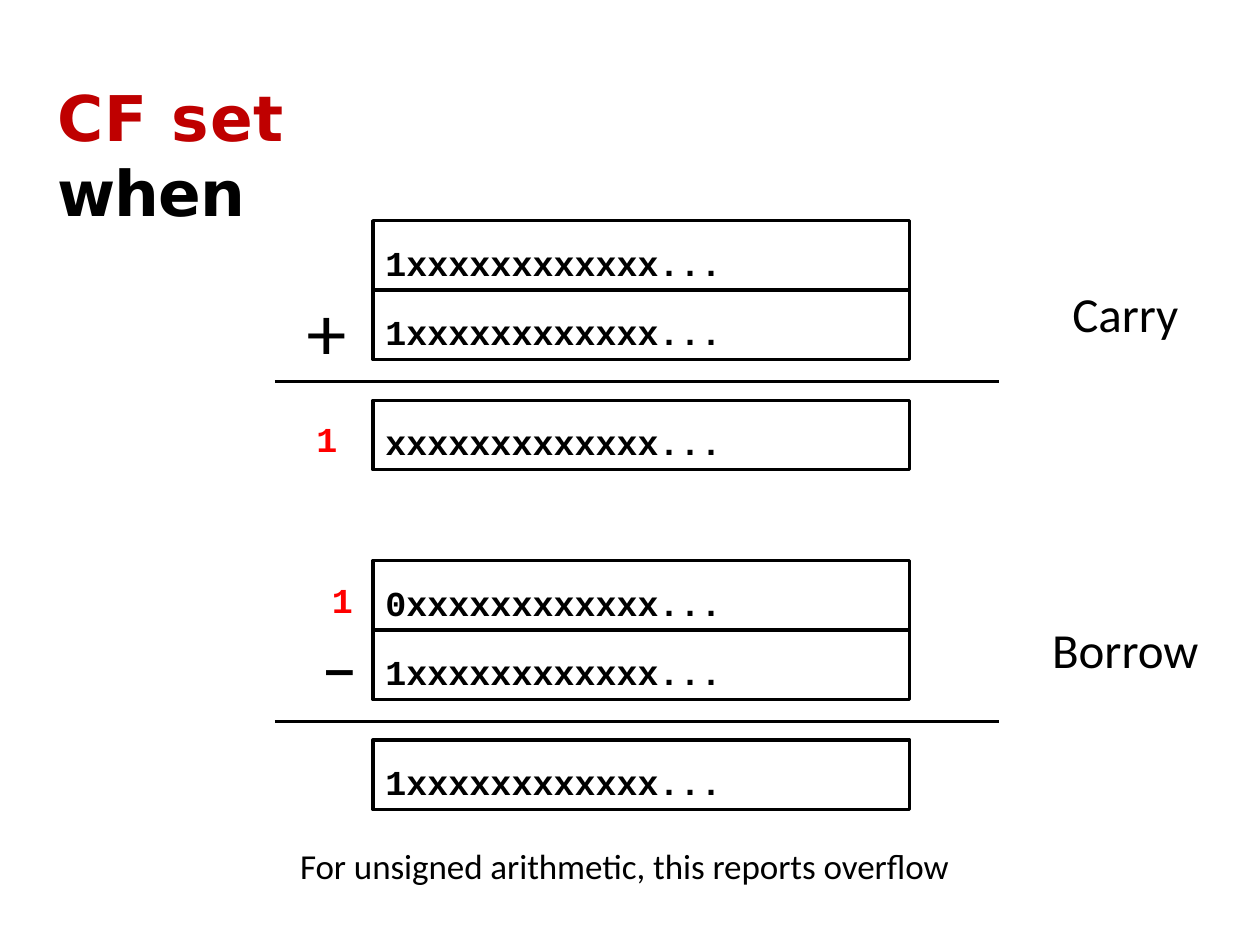
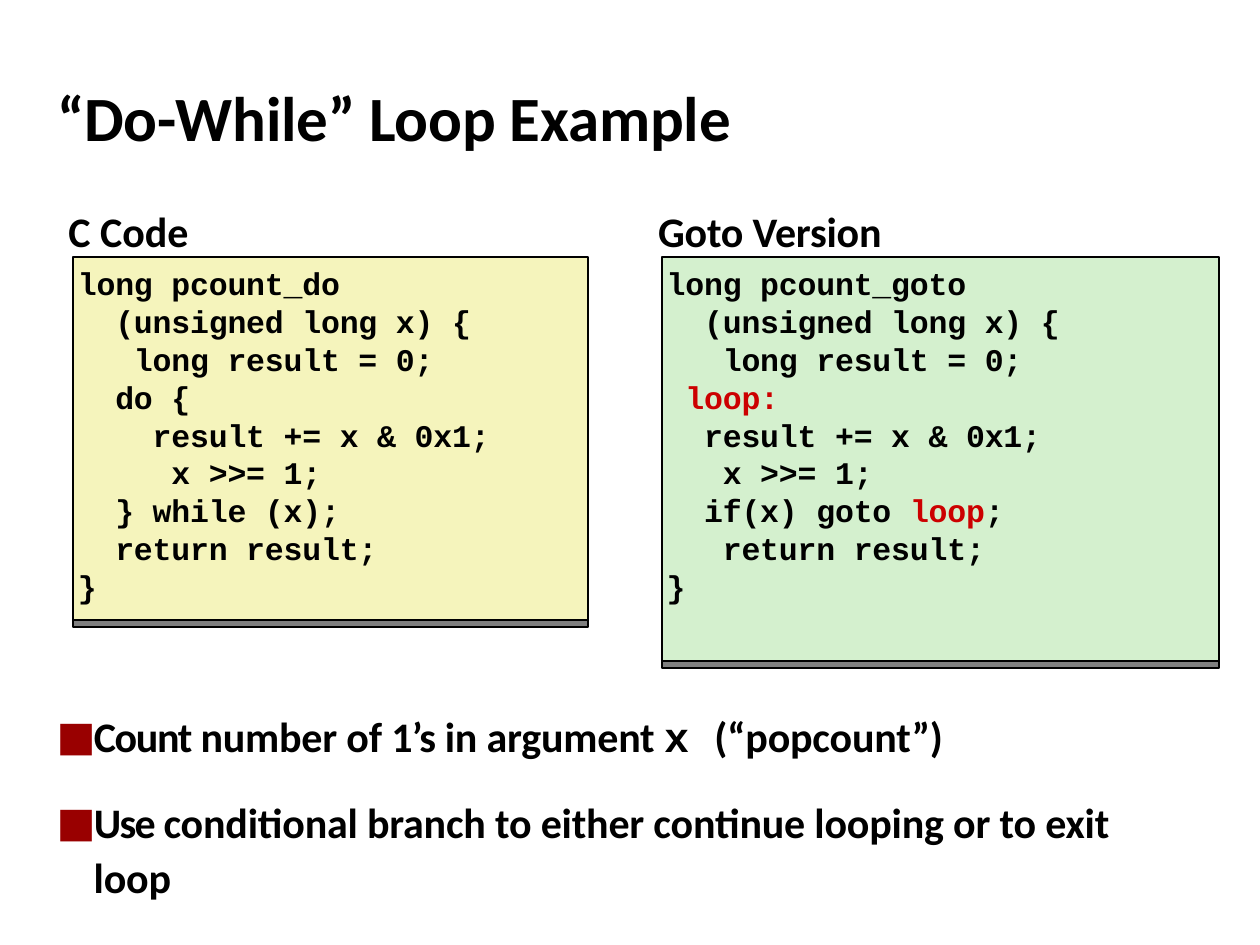
from lxml import etree
from pptx import Presentation
from pptx.dml.color import RGBColor
from pptx.enum.shapes import MSO_CONNECTOR as CONN, MSO_SHAPE as SHAPE
from pptx.enum.text import MSO_ANCHOR as ANCHOR, MSO_AUTO_SIZE as AUTO, PP_ALIGN as ALIGN
from pptx.oxml.ns import qn
from pptx.util import Cm, Pt

BLACK, DARK_RED, RED, LOOP_RED, BULLET_RED = "000000", "BF0000", "FF0000", "CC0000", "990000"
YELLOW, GREEN = "F5F4BC", "D4F0CE"
SANS, MONO, SIGN = "Calibri", "Courier New", "Karla"


def rgb(hex_color):
    return RGBColor.from_string(hex_color)


def add_run(p, text, size, font=SANS, color=BLACK, bold=False, spacing=0):
    r = p.add_run()
    r.text = text
    r.font.size = Pt(size)
    r.font.name = font
    r.font.bold = bold
    r.font.color.rgb = rgb(color)
    if spacing:
        r._r.get_or_add_rPr().set("spc", str(round(spacing * 100)))


def add_runs(p, runs, **style):
    """Add plain strings or (text, changes to the style) pairs."""
    for item in runs:
        text, changes = (item, {}) if isinstance(item, str) else item
        add_run(p, text, **{**style, **changes})


def prepare_frame(sp, left=0.03, top=0.06, anchor=ANCHOR.TOP):
    tf = sp.text_frame
    tf.word_wrap = True
    tf.auto_size = AUTO.NONE
    tf.vertical_anchor = anchor
    tf.margin_left, tf.margin_top = Cm(left), Cm(top)
    tf.margin_right = tf.margin_bottom = 0
    tf.paragraphs[0].alignment = ALIGN.LEFT
    return tf


def next_paragraph(tf, index):
    p = tf.paragraphs[0] if index == 0 else tf.add_paragraph()
    p.alignment = ALIGN.LEFT
    return p


def add_title_slide(prs, width, runs, font):
    slide = prs.slides.add_slide(prs.slide_layouts[5])
    title = slide.shapes.title
    title.left, title.top, title.width, title.height = Cm(1.12), Cm(1.5), Cm(width), Cm(1.6)
    tf = prepare_frame(title, top=0.08)
    add_runs(tf.paragraphs[0], runs, size=36, font=font, bold=True)
    return slide


def add_text(slide, x, y, w, h, runs, **style):
    sp = slide.shapes.add_textbox(Cm(x), Cm(y), Cm(w), Cm(h))
    tf = prepare_frame(sp)
    add_runs(tf.paragraphs[0], runs, **style)
    return tf


def add_rect(slide, x, y, w, h, fill=None, line_width=None):
    sp = slide.shapes.add_shape(SHAPE.RECTANGLE, Cm(x), Cm(y), Cm(w), Cm(h))
    sp.shadow.inherit = False
    if fill:
        sp.fill.solid()
        sp.fill.fore_color.rgb = rgb(fill)
    else:
        sp.fill.background()
    if line_width:
        sp.line.color.rgb = rgb(BLACK)
        sp.line.width = Pt(line_width)
    else:
        sp.line.fill.background()
    return sp


def add_register(slide, y, bits):
    sp = add_rect(slide, 7.52, y, 10.82, 1.4, line_width=2)
    tf = prepare_frame(sp, left=0.25, top=0.28, anchor=ANCHOR.MIDDLE)
    add_run(tf.paragraphs[0], bits, 20, MONO, bold=True)


def add_sum_line(slide, y):
    line = slide.shapes.add_connector(CONN.STRAIGHT, Cm(5.54), Cm(y), Cm(20.14), Cm(y))
    line.line.color.rgb = rgb(BLACK)
    line.line.width = Pt(2)
    etree.SubElement(line._element.spPr, qn("a:effectLst"))


def add_calculation(slide, y, operands, result):
    """Two stacked operands, a rule and the result."""
    for i, bits in enumerate(operands):
        add_register(slide, y + 1.4 * i, bits)
    add_sum_line(slide, y + 3.24)
    add_register(slide, y + 3.62, result)


def add_code_card(slide, x, w, h, fill, lines):
    """Code on a coloured card with a thin half-transparent edge below."""
    y, edge = 5.18, 0.14
    band = add_rect(slide, x, y + h, w, edge, BLACK)
    color = band.fill._xPr.find(qn("a:solidFill"))[0]
    etree.SubElement(color, qn("a:alpha"), val="50000")
    add_rect(slide, x, y + edge, w, h, line_width=1)
    card = add_rect(slide, x, y, w, h, fill, line_width=1)
    tf = prepare_frame(card, left=0.1, top=0.15)
    for i, line in enumerate(lines):
        p = next_paragraph(tf, i)
        p.line_spacing = Pt(21.6)
        runs = [line] if isinstance(line, str) else line
        add_runs(p, runs, size=18, font=MONO, bold=True, spacing=-0.1)


def add_tab_stop(p, position):
    tabs = etree.SubElement(p._p.get_or_add_pPr(), qn("a:tabLst"))
    etree.SubElement(tabs, qn("a:tab"), pos=str(Cm(position)), algn="l")


def set_square_bullet(p):
    pPr = p._p.get_or_add_pPr()
    pPr.set("marL", str(Cm(0.74)))
    pPr.set("indent", str(-Cm(0.71)))
    color = etree.SubElement(pPr, qn("a:buClr"))
    etree.SubElement(color, qn("a:srgbClr"), val=BULLET_RED)
    etree.SubElement(pPr, qn("a:buSzPct"), val="87000")
    etree.SubElement(pPr, qn("a:buFont"), typeface="Lato")
    etree.SubElement(pPr, qn("a:buChar"), char="⬛")


def add_bullets(slide, x, y, w, h, items):
    sp = slide.shapes.add_textbox(Cm(x), Cm(y), Cm(w), Cm(h))
    tf = prepare_frame(sp, top=0.63)
    for i, runs in enumerate(items):
        p = next_paragraph(tf, i)
        set_square_bullet(p)
        p.line_spacing = Pt(31.4)
        if i:
            p.space_before = Pt(17.6)
        add_runs(p, runs, size=24, bold=True, spacing=-0.1)


def build_carry_flag(prs):
    slide = add_title_slide(prs, 8.81, [
        ("CF ", {"color": DARK_RED, "spacing": 0.7}),
        ("set ", {"color": DARK_RED, "spacing": 0.4}),
        ("when", {"spacing": -0.5})], "DejaVu Sans")
    carry_y, borrow_y = 4.45, 11.3
    one, zero = "1xxxxxxxxxxxx...", "0xxxxxxxxxxxx..."
    flag = dict(size=20, font=MONO, color=RED, bold=True)

    add_calculation(slide, carry_y, [one, one], "xxxxxxxxxxxxx...")
    add_text(slide, 6.17, 5.61, 1.32, 1.85, ["+"], size=42, font=SIGN)
    add_text(slide, 6.35, 8.36, 0.6, 0.91, ["1"], **flag)
    add_text(slide, 21.59, 5.66, 2.5, 1.27, ["Carry"], size=28)

    add_calculation(slide, borrow_y, [zero, one], one)
    tf = add_text(slide, 6.48, 11.61, 0.81, 2.69, ["1"], **flag)
    borrowed = tf.paragraphs[0]
    borrowed.line_spacing = Pt(23.9)
    borrowed._p.get_or_add_pPr().set("marL", str(Cm(0.18)))
    minus = next_paragraph(tf, 1)
    minus.line_spacing = Pt(50.4)
    add_run(minus, "–", 42, SIGN, spacing=-1.9)
    add_text(slide, 21.18, 12.42, 3.3, 1.27, ["Borrow"], size=28)

    add_text(slide, 6.02, 16.97, 13.6, 0.91,
             ["For unsigned arithmetic, this reports overflow"], size=20, spacing=-0.05)


def build_do_while(prs):
    slide = add_title_slide(prs, 13.72, [("“Do-While” Loop Example", {"spacing": -0.1})], SANS)
    add_code_card(slide, 1.47, 10.39, 7.32, YELLOW, [
        "long pcount_do",
        "  (unsigned long x) {",
        "   long result = 0;",
        "  do {",
        "    result += x & 0x1;",
        "     x >>= 1;",
        "  } while (x);",
        "  return result;",
        "}"])
    red = {"color": LOOP_RED}
    add_code_card(slide, 13.34, 11.23, 8.15, GREEN, [
        "long pcount_goto",
        "  (unsigned long x) {",
        "   long result = 0;",
        [(" loop:", red)],
        "  result += x & 0x1;",
        "   x >>= 1;",
        ["  if(x) goto ", ("loop", red), ";"],
        "   return result;",
        "}"])

    tf = add_text(slide, 1.35, 4.09, 16.48, 1.09, [], size=24)
    headings = tf.paragraphs[0]
    add_tab_stop(headings, 11.89)
    add_runs(headings, ["C Code\t", ("Goto Version", {"spacing": -0.15})], size=24, bold=True)

    add_bullets(slide, 1.12, 13.61, 21.54, 3.56, [
        [("Count ", {"spacing": -0.8}), "number of ", ("1’s ", {"spacing": -0.5}),
         "in argument ", ("x ", {"font": MONO, "spacing": 0}), "(“popcount”)"],
        [("Use ", {"spacing": -1}),
         "conditional branch to either continue looping or to exit loop"]])


def main():
    prs = Presentation()
    prs.slide_width, prs.slide_height = Cm(25.4), Cm(19.05)
    build_carry_flag(prs)
    build_do_while(prs)
    prs.save("out.pptx")


if __name__ == "__main__":
    main()
